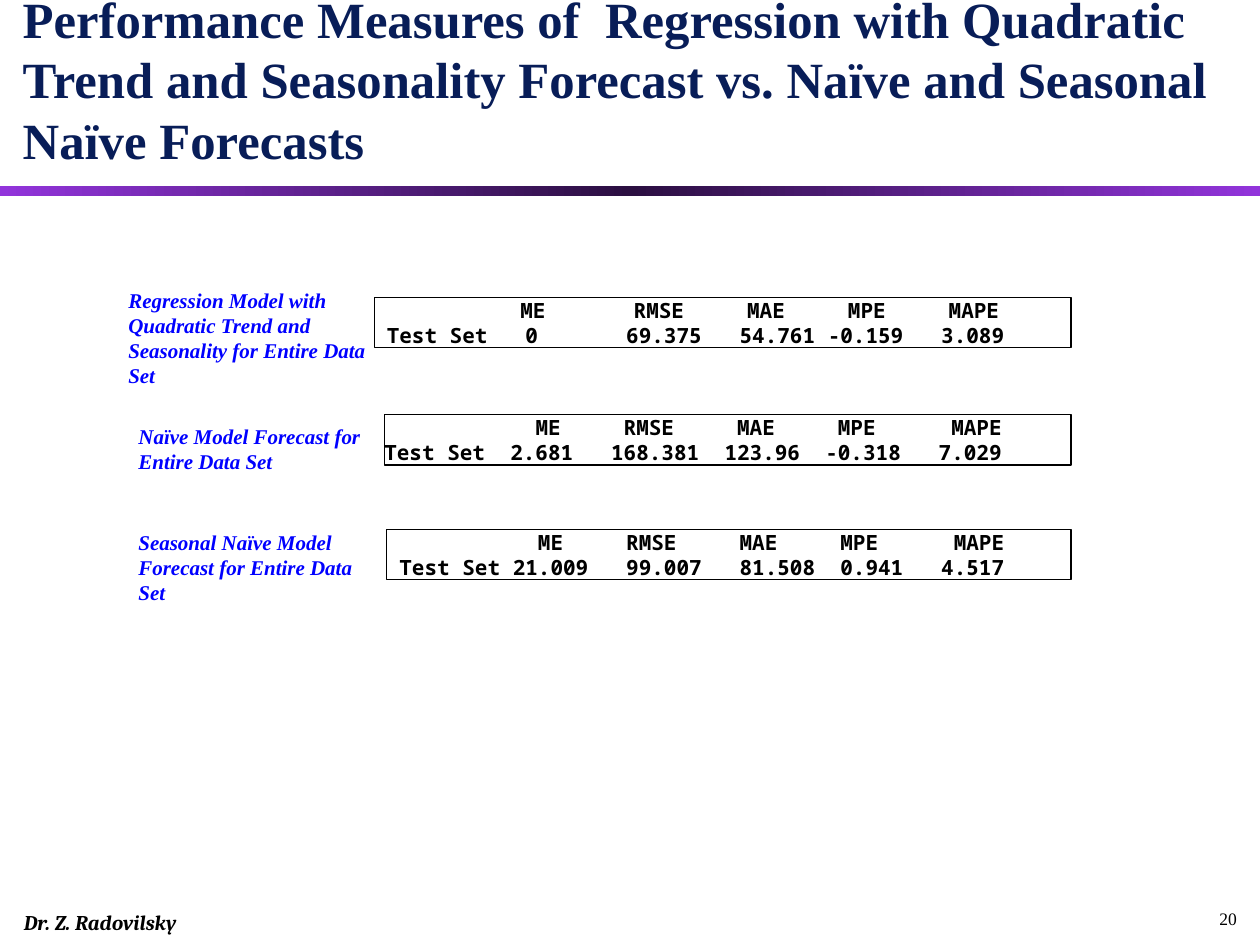
"""Build the slide that compares forecast accuracy on the test set."""
import pptx
import pptx.util
import pptx.dml.color
import pptx.enum.shapes
import pptx.enum.text
import pptx.oxml
import pptx.oxml.ns

Inches = pptx.util.Inches
Pt = pptx.util.Pt
RGBColor = pptx.dml.color.RGBColor
ANCHOR = pptx.enum.text.MSO_ANCHOR
RECT = pptx.enum.shapes.MSO_SHAPE.RECTANGLE
NAVY = RGBColor(0x08, 0x1D, 0x58)
BLUE = RGBColor(0x00, 0x00, 0xFF)
BLACK = RGBColor(0x00, 0x00, 0x00)
WHITE = RGBColor(0xFF, 0xFF, 0xFF)
PURPLE = RGBColor(0x92, 0x34, 0xDB)
DARK = RGBColor(0x2B, 0x0F, 0x41)
SERIF = "Times New Roman"
MONO = "Noto Sans Mono"


def style(para, face, size, color, bold=False, slant=False):
    for run in para.runs:
        font = run.font
        font.name, font.size = face, Pt(size)
        font.bold, font.italic = bold, slant
        font.color.rgb = color


def label(text, left, top, width, height, *look):
    box = slide.shapes.add_textbox(Inches(left), Inches(top), Inches(width), Inches(height))
    box.text_frame.word_wrap = True
    box.text_frame.text = text
    style(box.text_frame.paragraphs[0], *look)


deck = pptx.Presentation()
deck.slide_width, deck.slide_height = Inches(10), Inches(7.5)
slide = deck.slides.add_slide(deck.slide_layouts[5])

bar = slide.shapes.add_shape(RECT, Inches(0), Inches(1.48), Inches(10), Inches(0.08))
bar.shadow.inherit = False
bar.line.fill.background()
bar.fill.gradient()
bar.fill.gradient_angle = 0
stops = bar.fill._fill._gradFill.find(pptx.oxml.ns.qn("a:gsLst"))
for stop in list(stops):
    stops.remove(stop)
for place, color in ((0, PURPLE), (50, DARK), (100, PURPLE)):
    stops.append(pptx.oxml.parse_xml(
        f'<a:gs {pptx.oxml.ns.nsdecls("a")} pos="{place * 1000}">'
        f'<a:srgbClr val="{color}"/></a:gs>'))

label("Dr. Z. Radovilsky", 0.09, 7.17, 2.08, 0.3, "Cambria", 12, BLACK, True, True)
label("20", 9.58, 7.16, 0.42, 0.27, SERIF, 10, BLACK)

title = slide.shapes.title
title.left, title.top = Inches(0.08), Inches(-0.05)
title.width, title.height = Inches(9.92), Inches(1.45)
frame = title.text_frame
frame.text = ("Performance Measures of  Regression with Quadratic Trend and "
              "Seasonality Forecast vs. Naïve and Seasonal Naïve Forecasts")
frame.word_wrap = True
frame.auto_size = pptx.enum.text.MSO_AUTO_SIZE.NONE
frame.vertical_anchor = ANCHOR.BOTTOM
frame.paragraphs[0].alignment = pptx.enum.text.PP_ALIGN.LEFT
style(frame.paragraphs[0], SERIF, 29, NAVY, True)

heads = ["ME", "RMSE", "MAE", "MPE", "MAPE"]
models = [
    ("Regression Model with Quadratic Trend and Seasonality for Entire Data Set",
     (0.92, 2.23, 2.13, 0.91), 2.97, 2.36,
     ["0", "69.375", "54.761", "-0.159", "3.089"],
     [1.16, 2.06, 2.96, 3.76, 4.56], [0.1, 1.2, 2, 2.9, 3.6, 4.5]),
    ("Naïve Model Forecast for Entire Data Set",
     (1, 3.31, 2.05, 0.5), 3.05, 3.29,
     ["2.681", "168.381", "123.96", "-0.318", "7.029"],
     [1.2, 1.9, 2.8, 3.6, 4.5], [0, 1, 1.8, 2.7, 3.5, 4.4]),
    ("Seasonal Naïve Model Forecast for Entire Data Set",
     (1, 4.15, 2.05, 0.71), 3.07, 4.2,
     ["21.009", "99.007", "81.508", "0.941", "4.517"],
     [1.2, 1.9, 2.8, 3.6, 4.5], [0.1, 1, 1.9, 2.8, 3.6, 4.4]),
]
for name, place, left, top, values, headtabs, rowtabs in models:
    label(name, *place, SERIF, 12, BLUE, True, True)
    box = slide.shapes.add_shape(RECT, Inches(left), Inches(top), Inches(8.5 - left), Inches(0.4))
    box.shadow.inherit = False
    box.fill.solid()
    box.fill.fore_color.rgb = WHITE
    box.line.color.rgb = BLACK
    box.line.width = Pt(0.75)
    frame = box.text_frame
    frame.margin_left = frame.margin_right = frame.margin_top = frame.margin_bottom = 0
    frame.vertical_anchor = ANCHOR.MIDDLE
    rows = ((heads, headtabs), (["Test Set"] + values, rowtabs))
    frame.text = "\n".join(
        ("\t" if tabs[0] else "") + "\t".join(words) for words, tabs in rows)
    for para, (words, tabs) in zip(frame.paragraphs, rows):
        para.alignment = pptx.enum.text.PP_ALIGN.LEFT
        style(para, MONO, 12, BLACK, True)
        marks = "".join(f'<a:tab pos="{Inches(tab)}" algn="l"/>' for tab in tabs if tab)
        para._p.get_or_add_pPr().append(pptx.oxml.parse_xml(
            f'<a:tabLst {pptx.oxml.ns.nsdecls("a")}>{marks}</a:tabLst>'))

deck.save("out.pptx")
